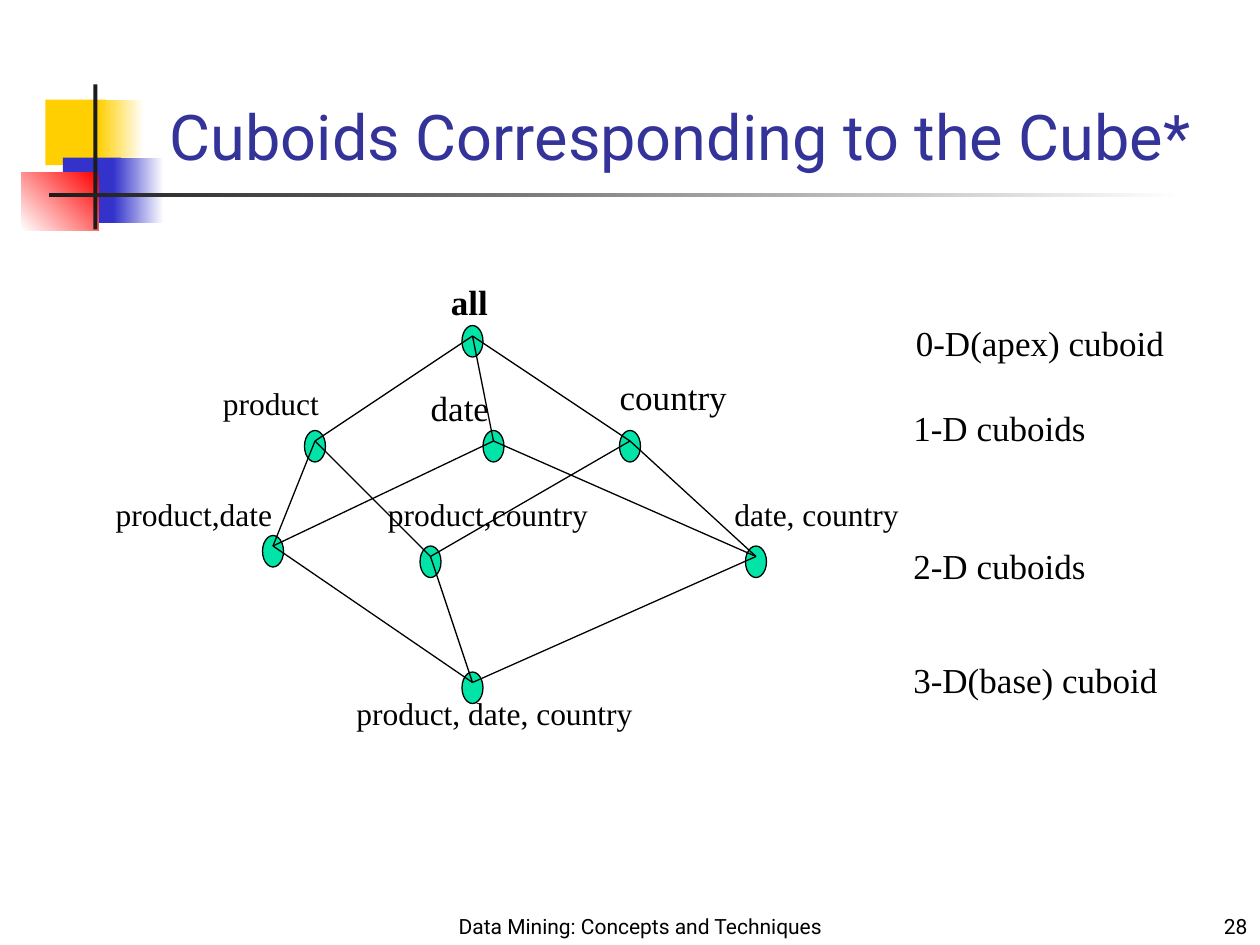
from itertools import product

from pptx import Presentation
from pptx.dml.color import RGBColor
from pptx.enum.shapes import MSO_CONNECTOR as Link, MSO_SHAPE as Shape
from pptx.enum.text import MSO_ANCHOR as Anchor, MSO_AUTO_SIZE as Fit, PP_ALIGN as Align
from pptx.oxml.ns import qn
from pptx.util import Inches, Pt

COLS, ROWS = 120, 90
CELL = Inches(10) / COLS
SLACK = 0.4  # spare columns that keep a label on one line
SERIF, SANS = "Times New Roman", "Roboto"
COLORS = {
    "white": "FFFFFF", "black": "000000", "gold": "FFCF01", "blue": "3333CC",
    "red": "FF0000", "dark": "1C1C1C", "title": "333399", "node": "00E4A8",
}

# Dimensions kept: column and row of the node
NODES = {
    "": (34, 5),
    "p": (19, 15), "d": (36, 15), "c": (49, 15),
    "pd": (15, 25), "dc": (61, 26), "pc": (30, 26),
    "pdc": (34, 38),
}
# Text, column, row, width, size
NAMES = [
    ("all", 31.76, 0.16, 5.88, 20),
    ("product", 10.04, 10, 11.52, 18),
    ("date", 29.84, 10.24, 7.92, 20),
    ("country", 47.84, 9.16, 12.6, 20),
    ("product,date", -0.16, 20.56, 17.28, 18),
    ("product,country", 25.76, 20.56, 21.48, 18),
    ("date, country", 58.76, 20.56, 18, 18),
    ("product, date, country", 22.76, 39.52, 28.68, 18),
]
LEVELS = [
    ("0-D(apex) cuboid", 0.24, 0, 26.04),
    ("1-D cuboids", 0, 8.16, 18.84),
    ("2-D cuboids", 0, 21.24, 18.84),
    ("3-D(base) cuboid", 0, 32.16, 25.68),
]


def rgb(name):
    return RGBColor.from_string(COLORS[name])


def grid(*cells):
    return [round(cell * CELL) for cell in cells]


def text(slide, words, box, size=20, font=SERIF, color="black", bold=False,
         align=Align.LEFT, anchor=Anchor.TOP, wrap=False):
    left, top, wide, high = box
    if not wrap:
        wide += SLACK
    frame = slide.shapes.add_textbox(*grid(left, top, wide, high)).text_frame
    frame.word_wrap = wrap
    frame.auto_size = Fit.NONE if wrap else Fit.SHAPE_TO_FIT_TEXT
    frame.vertical_anchor = anchor
    para = frame.paragraphs[0]
    para.text, para.alignment = words, align
    para.font.size, para.font.name, para.font.bold = Pt(size), font, bold
    para.font.color.rgb = rgb(color)


def shape(slide, kind, box, fill, line=None, angle=0):
    """Draw a shape; a pair of fill colours makes a gradient."""
    item = slide.shapes.add_shape(kind, *grid(*box))
    item.shadow.inherit = False
    if isinstance(fill, tuple):
        item.fill.gradient()
        item.fill.gradient_angle = angle
        for stop, name in zip(item.fill.gradient_stops, fill):
            stop.color.rgb = rgb(name)
    else:
        item.fill.solid()
        item.fill.fore_color.rgb = rgb(fill)
    if line:
        item.line.color.rgb = rgb(line)
        item.line.width = Pt(0.75)
    else:
        item.line.fill.background()


def edge(slide, start, end):
    line = slide.shapes.add_connector(Link.STRAIGHT, *grid(*start, *end))
    line.line.color.rgb = rgb("black")
    line.line.width = Pt(0.75)
    props = line._element.spPr
    props.append(props.makeelement(qn("a:effectLst"), {}))


def emblem(slide, left, top):
    """Draw the coloured blocks and crossed rules beside the title."""
    blocks = [
        (2.32, 1.48, 5.76, 6.24, "gold", 0),
        (7.36, 1.48, 4.32, 6.24, ("white", "gold"), 180),
        (4, 7, 5.52, 6.24, "blue", 0),
        (8.8, 7, 4.8, 6.24, ("white", "blue"), 180),
        (0.04, 8.44, 7.32, 5.52, ("red", "white"), 225),
        (6.88, 0.04, 0.4, 13.8, "dark", 0),
        (2.68, 10.36, 108, 0.42, ("white", "dark"), 180),
    ]
    for col, row, wide, high, fill, angle in blocks:
        shape(slide, Shape.RECTANGLE, (left + col, top + row, wide, high),
              fill, angle=angle)


def lattice(slide, left, top):
    """Join each cuboid to those that keep one more dimension."""
    spots = {key: (left + col, top + row) for key, (col, row) in NODES.items()}
    for spot in spots.values():
        shape(slide, Shape.FLOWCHART_CONNECTOR, (*spot, 2, 3), "node", "black")
    for high, low in product(spots, repeat=2):
        if len(low) == len(high) + 1 and set(high) < set(low):
            edge(slide, *([c + 1 for c in spots[key]] for key in (high, low)))
    for words, col, row, wide, size in NAMES:
        box = (left + col, top + row, wide, 5.28 if size == 20 else 4.8)
        text(slide, words, box, size=size, bold=words == "all")


def levels(slide, left, top):
    for words, col, row, wide in LEVELS:
        text(slide, words, (left + col, top + row, wide, 5.28))


def footer(slide, left, top):
    style = dict(size=12, font=SANS, anchor=Anchor.BOTTOM, wrap=True)
    text(slide, "Data Mining: Concepts and Techniques", (left, top, 38, 7),
         align=Align.CENTER, **style)
    text(slide, "28", (left + 53, top + 1, 25, 6), align=Align.RIGHT, **style)


def main():
    deck = Presentation()
    deck.slide_width, deck.slide_height = grid(COLS, ROWS)
    slide = deck.slides.add_slide(deck.slide_layouts[6])
    emblem(slide, 2, 8)
    text(slide, "Cuboids Corresponding to the Cube*", (15, 9, 102.24, 8.04),
         size=36, font=SANS, color="title", anchor=Anchor.BOTTOM, wrap=True)
    lattice(slide, 10, 26)
    levels(slide, 85.8, 30)
    footer(slide, 42, 83)
    deck.save("out.pptx")


if __name__ == "__main__":
    main()
